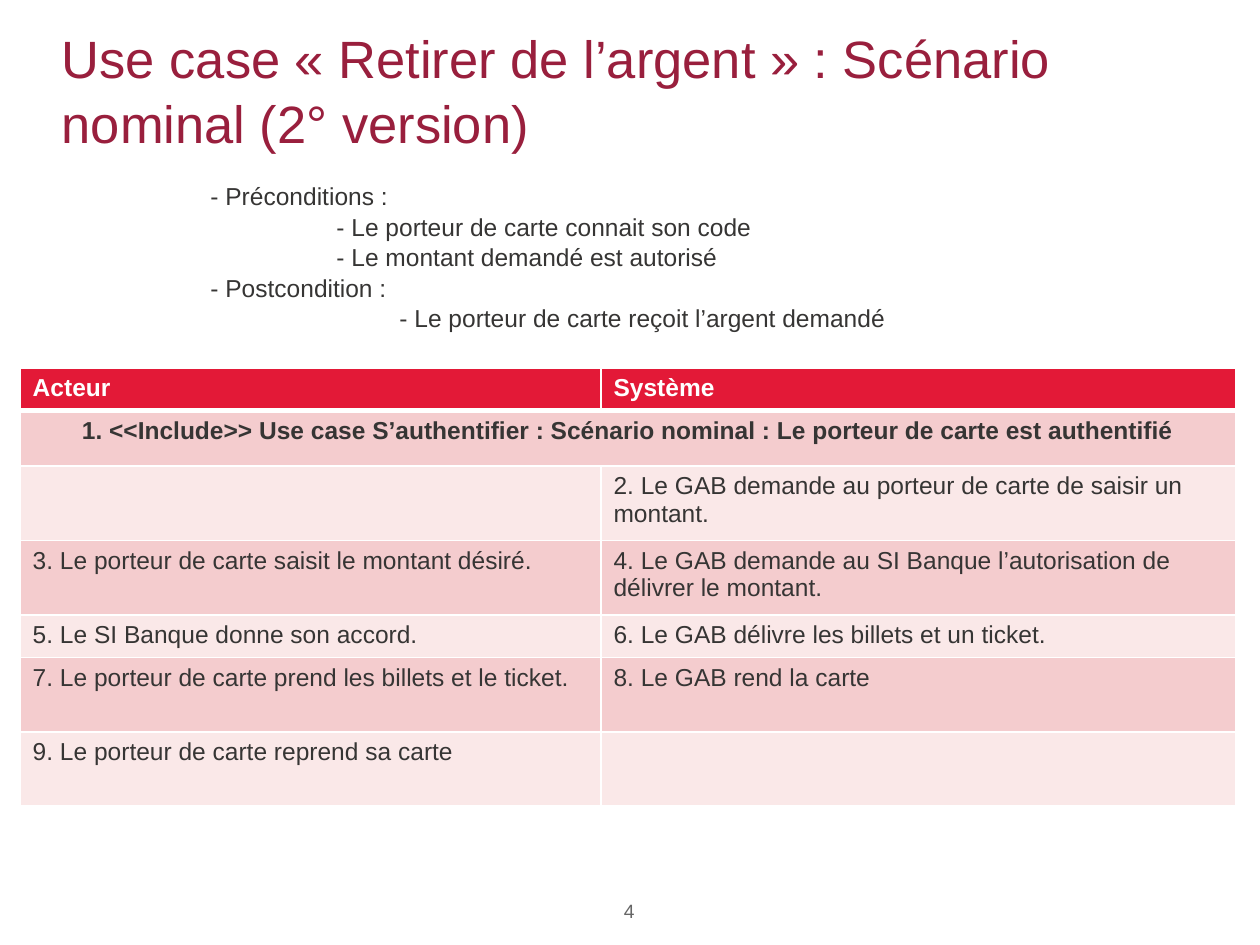
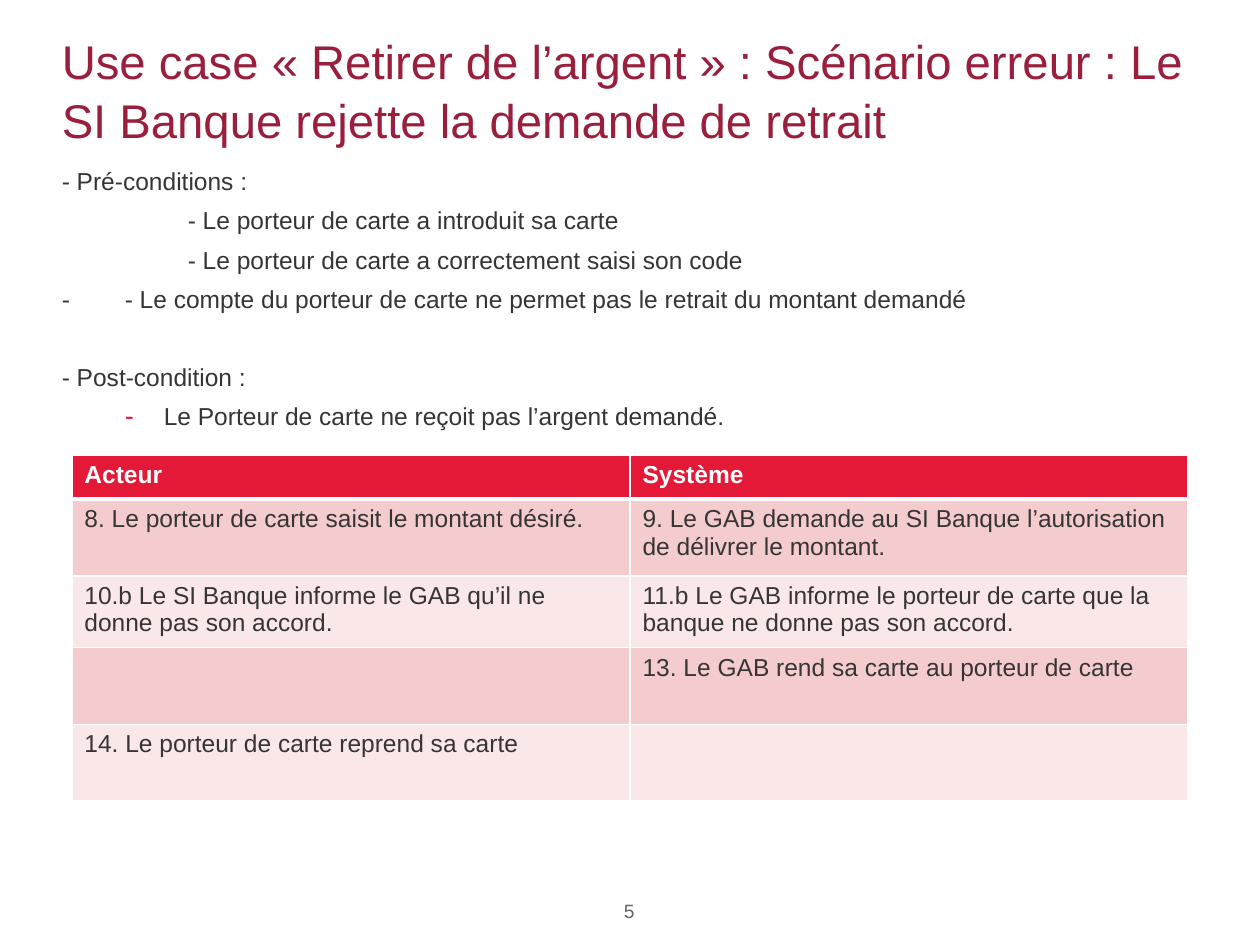
"""Build two slides that describe the scenarios of a cash withdrawal use case."""
from lxml import etree
from pptx import Presentation
from pptx import util as u
from pptx.dml import color
from pptx.enum import text
from pptx.oxml import ns

TITLE_COLOR = "991F3D"
ACCENT = "E31937"
BODY_COLOR = "363534"
NUMBER_COLOR = "666666"
WHITE = "FFFFFF"
BANDS = ["F4CCCE", "FAE8E8"]
BODY_SIZE = 14
LINE_SPACING = 1.04


def add_run(paragraph, words, size, hex_color, bold=False):
    run = paragraph.add_run()
    run.text = words
    run.font.name = "Arial"
    run.font.size = u.Pt(size)
    run.font.bold = bold
    run.font.color.rgb = color.RGBColor.from_string(hex_color)


def prepare_frame(shape, box, anchor, wrap=True):
    shape.left, shape.top, shape.width, shape.height = map(u.Inches, box)
    frame = shape.text_frame
    frame.margin_left = frame.margin_top = frame.margin_right = frame.margin_bottom = 0
    frame.auto_size = text.MSO_AUTO_SIZE.NONE
    frame.vertical_anchor = anchor
    frame.word_wrap = wrap
    return frame


# Each condition is (words, left indent, space before, dash bullet).
scenarios = [
    {
        "number": "4",
        "title": "Use case « Retirer de l’argent » : Scénario nominal (2° version)",
        "title_size": 30,
        "conditions_box": (1.67, 1.43, 7.51, 1.3),
        "conditions": [
            ("- Préconditions :", 0, 0, False),
            ("- Le porteur de carte connait son code", 1, 0, False),
            ("- Le montant demandé est autorisé", 1, 0, False),
            ("- Postcondition :", 0, 0, False),
            ("- Le porteur de carte reçoit l’argent demandé", 1.5, 0, False),
        ],
        "table_origin": (0.16, 2.92),
        "columns": [4.61, 5.04],
        "row_heights": [0.34, 0.44, 0.59, 0.59, 0.34, 0.59, 0.59],
        "steps": [
            ("1. <<Include>> Use case S’authentifier : Scénario nominal : "
             "Le porteur de carte est authentifié",),
            ("", "2. Le GAB demande au porteur de carte de saisir un montant."),
            ("3. Le porteur de carte saisit le montant désiré.",
             "4. Le GAB demande au SI Banque l’autorisation de délivrer le montant."),
            ("5. Le SI Banque donne son accord.",
             "6. Le GAB délivre les billets et un ticket."),
            ("7. Le porteur de carte prend les billets et le ticket.",
             "8. Le GAB rend la carte"),
            ("9. Le porteur de carte reprend sa carte", ""),
        ],
    },
    {
        "number": "5",
        "title": "Use case « Retirer de l’argent » : Scénario erreur : "
                 "Le SI Banque rejette la demande de retrait",
        "title_size": 27,
        "conditions_box": (0.49, 1.31, 9.01, 2.2),
        "conditions": [
            ("- Pré-conditions :", 0, 5, False),
            ("- Le porteur de carte a introduit sa carte", 1, 5, False),
            ("- Le porteur de carte a correctement saisi son code", 1, 5, False),
            ("- \t- Le compte du porteur de carte ne permet pas le retrait "
             "du montant demandé", 0, 5, False),
            ("- Post-condition :", 0, 27, False),
            ("Le Porteur de carte ne reçoit pas l’argent demandé.", 0.81, 5, True),
        ],
        "table_origin": (0.57, 3.61),
        "columns": [4.43, 4.43],
        "row_heights": [0.35, 0.61, 0.57, 0.61, 0.61],
        "steps": [
            ("8. Le porteur de carte saisit le montant désiré.",
             "9. Le GAB demande au SI Banque l’autorisation de délivrer le montant."),
            ("10.b Le SI Banque informe le GAB qu’il ne donne pas son accord.",
             "11.b Le GAB informe le porteur de carte que la banque "
             "ne donne pas son accord."),
            ("", "13. Le GAB rend sa carte au porteur de carte"),
            ("14. Le porteur de carte reprend sa carte", ""),
        ],
    },
]

presentation = Presentation()
presentation.slide_width = u.Inches(10)
presentation.slide_height = u.Inches(7.5)
title_only = presentation.slide_layouts[5]

for scenario in scenarios:
    slide = presentation.slides.add_slide(title_only)

    frame = prepare_frame(slide.shapes.title, (0.49, 0.2, 9.01, 1.01), text.MSO_ANCHOR.MIDDLE)
    paragraph = frame.paragraphs[0]
    paragraph.alignment = text.PP_ALIGN.LEFT
    paragraph.line_spacing = LINE_SPACING
    add_run(paragraph, scenario["title"], scenario["title_size"], TITLE_COLOR)

    number_box = slide.shapes.add_textbox(0, 0, 0, 0)
    frame = prepare_frame(number_box, (4.57, 7.13, 0.85, 0.26), text.MSO_ANCHOR.TOP, wrap=False)
    paragraph = frame.paragraphs[0]
    paragraph.alignment = text.PP_ALIGN.CENTER
    paragraph.line_spacing = LINE_SPACING
    add_run(paragraph, scenario["number"], 11, NUMBER_COLOR)

    conditions_box = slide.shapes.add_textbox(0, 0, 0, 0)
    frame = prepare_frame(conditions_box, scenario["conditions_box"], text.MSO_ANCHOR.TOP)
    for index, (words, indent, space, dashed) in enumerate(scenario["conditions"]):
        paragraph = frame.add_paragraph() if index else frame.paragraphs[0]
        paragraph.line_spacing = LINE_SPACING
        paragraph.space_before = u.Pt(space)
        add_run(paragraph, words, BODY_SIZE, BODY_COLOR)
        properties = paragraph._p.get_or_add_pPr()
        properties.set("marL", str(u.Inches(indent)))
        properties.set("indent", str(u.Inches(-0.31 if dashed else 0)))
        if dashed:
            bullet_color = etree.SubElement(properties, ns.qn("a:buClr"))
            etree.SubElement(bullet_color, ns.qn("a:srgbClr"), val=ACCENT)
            etree.SubElement(properties, ns.qn("a:buSzPct"), val="110000")
            etree.SubElement(properties, ns.qn("a:buFont"), typeface="Arial")
            etree.SubElement(properties, ns.qn("a:buChar"), char="-")

    rows = [("Acteur", "Système")] + scenario["steps"]
    left, top = scenario["table_origin"]
    table = slide.shapes.add_table(
        len(rows), 2, u.Inches(left), u.Inches(top),
        u.Inches(sum(scenario["columns"])), u.Inches(sum(scenario["row_heights"])),
    ).table
    table.horz_banding = False
    for column, width in zip(table.columns, scenario["columns"]):
        column.width = u.Inches(width)
    for row_index, steps in enumerate(rows):
        table.rows[row_index].height = u.Inches(scenario["row_heights"][row_index])
        header = row_index == 0
        shared_step = len(steps) == 1
        if shared_step:
            table.cell(row_index, 0).merge(table.cell(row_index, 1))
        for column_index in range(2):
            cell = table.cell(row_index, column_index)
            properties = cell._tc.get_or_add_tcPr()
            for side in "LRTB":
                thick = (row_index, side) in [(0, "B"), (1, "T")]
                border = etree.SubElement(
                    properties, ns.qn(f"a:ln{side}"), w=str(u.Pt(3 if thick else 1)))
                border_fill = etree.SubElement(border, ns.qn("a:solidFill"))
                etree.SubElement(border_fill, ns.qn("a:srgbClr"), val=WHITE)
            cell.fill.solid()
            fill = ACCENT if header else BANDS[(row_index - 1) % 2]
            cell.fill.fore_color.rgb = color.RGBColor.from_string(fill)
            if column_index < len(steps) and steps[column_index]:
                paragraph = cell.text_frame.paragraphs[0]
                if shared_step:
                    paragraph.alignment = text.PP_ALIGN.CENTER
                add_run(paragraph, steps[column_index], BODY_SIZE,
                        WHITE if header else BODY_COLOR, bold=header or shared_step)

presentation.save("out.pptx")
